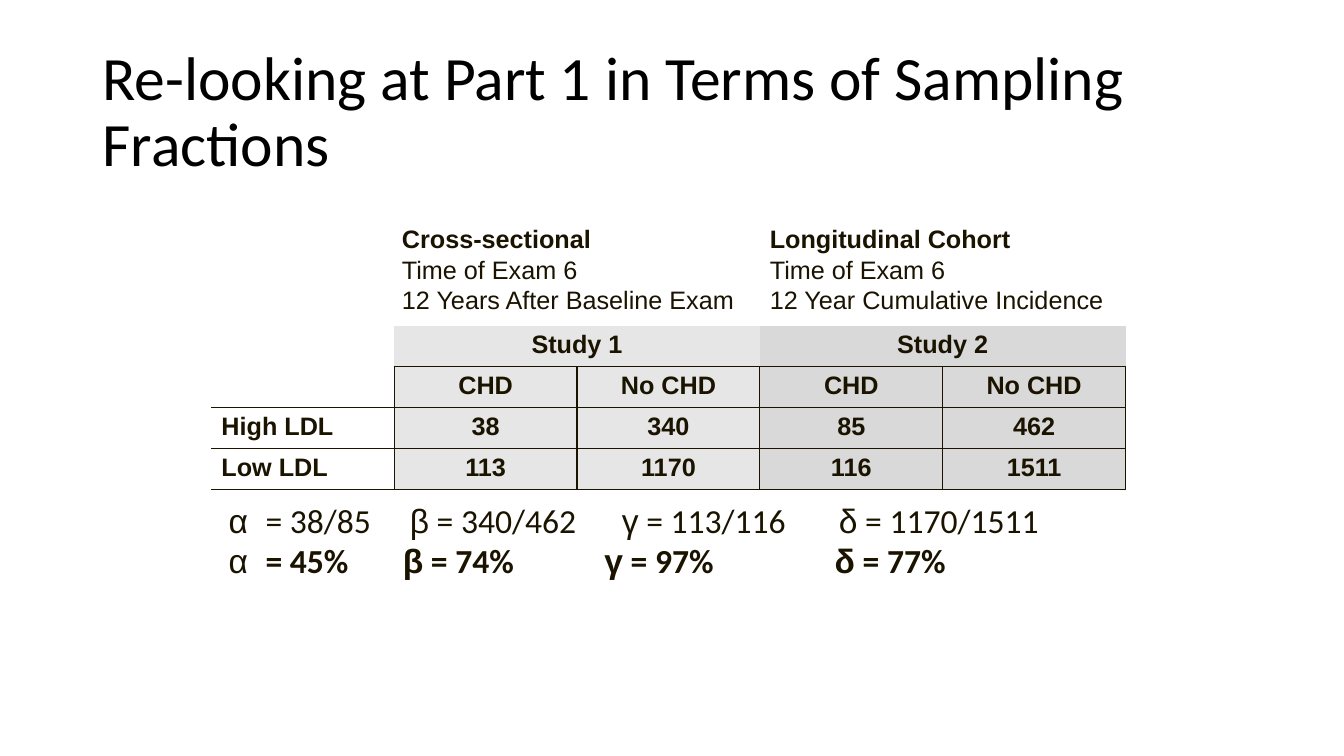
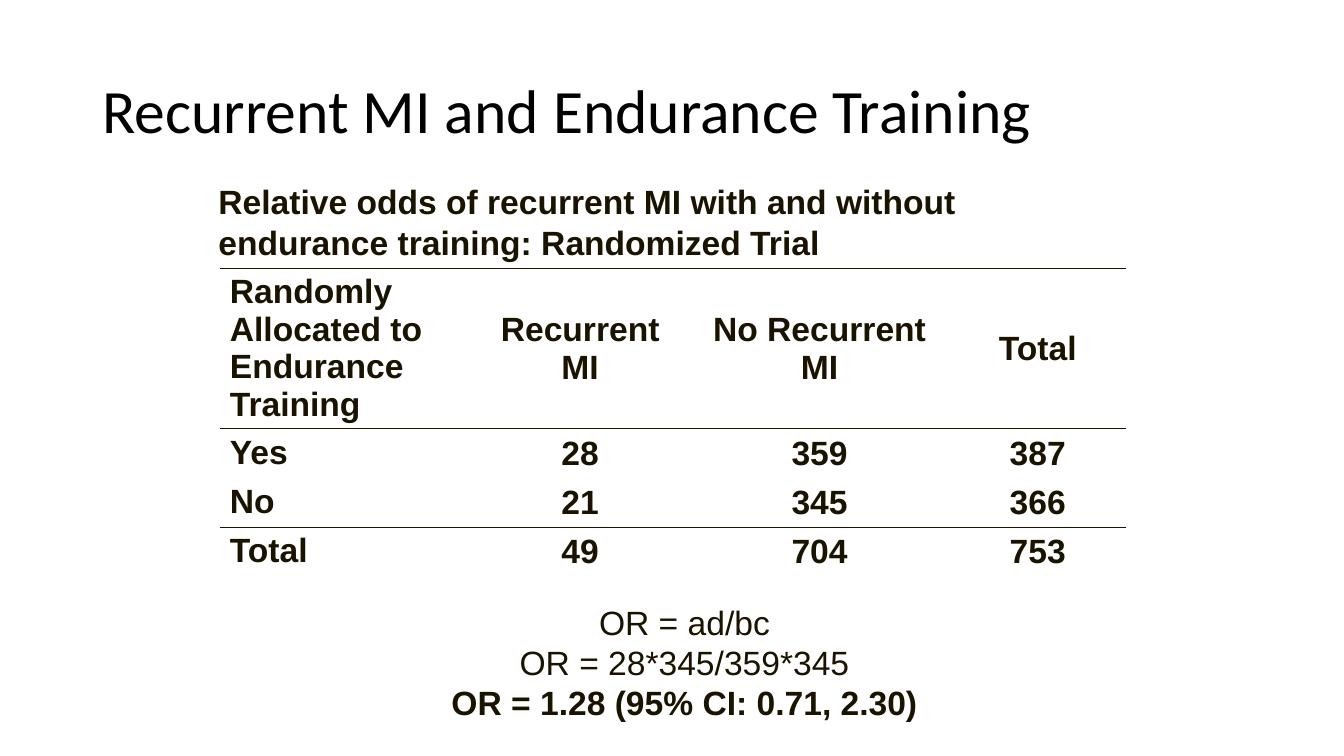
import lxml.etree
import pptx
import pptx.dml.color
import pptx.enum.text
import pptx.oxml.ns
import pptx.util

Pt = pptx.util.Pt
ALIGN = pptx.enum.text.PP_ALIGN
ANCHOR = pptx.enum.text.MSO_ANCHOR

INK = "1A1300"
TITLE_INK = "000000"
STUDY_1_FILL = "E7E6E6"
STUDY_2_FILL = "D9D9D9"


def color(hex_string):
    return pptx.dml.color.RGBColor.from_string(hex_string)


def add_element(parent, tag, **attributes):
    element = lxml.etree.SubElement(parent, pptx.oxml.ns.qn(tag))
    for name, value in attributes.items():
        element.set(name, str(value))
    return element


def write(frame, paragraphs, font="Arial", size=18, bold=False, ink=INK,
          align=ALIGN.LEFT, spacing=None, tabs=()):
    """Fill a text frame; a paragraph is a string or a list of (text, format) runs."""
    for index, runs in enumerate(paragraphs):
        paragraph = frame.paragraphs[0] if index == 0 else frame.add_paragraph()
        if tabs:
            tab_list = add_element(paragraph._p.get_or_add_pPr(), "a:tabLst")
            for position in tabs[index]:
                add_element(tab_list, "a:tab", pos=int(Pt(position)), algn="l")
        paragraph.alignment = align
        if spacing:
            paragraph.line_spacing = spacing
        for text, changes in [(runs, {})] if isinstance(runs, str) else runs:
            run = paragraph.add_run()
            run.text = text
            run.font.name = changes.get("font", font)
            run.font.size = Pt(size)
            run.font.bold = changes.get("bold", bold)
            run.font.color.rgb = color(ink)


class Deck:
    """Holds the shared style and the slide being built."""

    def __init__(self):
        self.presentation = pptx.Presentation()
        self.presentation.slide_width = Pt(960)
        self.presentation.slide_height = Pt(540)
        self.slide = None

    def add_slide(self, title):
        self.slide = self.presentation.slides.add_slide(self.presentation.slide_layouts[5])
        shape = self.slide.shapes.title
        shape.left, shape.top, shape.width, shape.height = Pt(66), Pt(28.75), Pt(828), Pt(104.4)
        frame = shape.text_frame
        frame.word_wrap = True
        frame.auto_size = pptx.enum.text.MSO_AUTO_SIZE.NONE
        frame.vertical_anchor = ANCHOR.MIDDLE
        write(frame, [title], font="Calibri", size=44, ink=TITLE_INK, spacing=0.9)

    def add_text(self, left, top, width, height, paragraphs, size=18, **text_format):
        shape = self.slide.shapes.add_textbox(Pt(left), Pt(top), Pt(width), Pt(height))
        shape.text_frame.word_wrap = True
        write(shape.text_frame, paragraphs, size=size, spacing=Pt(1.2 * size), **text_format)

    def add_table(self, left, top, widths, heights, rows, edges, fills=None, **text_format):
        """Add a table; edges(row, column) names the ruled sides out of "LRTB"."""
        table = self.slide.shapes.add_table(
            len(heights), len(widths), Pt(left), Pt(top),
            Pt(sum(widths)), Pt(sum(heights))).table
        table.first_row = table.horz_banding = False
        for column, width in zip(table.columns, widths):
            column.width = Pt(width)
        for row, height in zip(table.rows, heights):
            row.height = Pt(height)
        for row, texts in enumerate(rows):
            for column, text in enumerate(texts):
                cell = table.cell(row, column)
                self.rule_cell(cell, edges(row, column))
                fill = fills(row, column) if fills else None
                if fill:
                    cell.fill.solid()
                    cell.fill.fore_color.rgb = color(fill)
                else:
                    cell.fill.background()
                if text:
                    write(cell.text_frame, text.split("\n"), bold=True,
                          align=ALIGN.CENTER if column else ALIGN.LEFT, **text_format)
        return table

    def rule_cell(self, cell, sides):
        properties = cell._tc.get_or_add_tcPr()
        for side in "LRTB":
            line = add_element(properties, "a:ln" + side, w=int(Pt(1)))
            if side in sides:
                add_element(add_element(line, "a:solidFill"), "a:srgbClr", val=INK)
            else:
                add_element(line, "a:noFill")


def study_edges(row, column):
    if row == 0:
        return "B" if column else ""
    if column:
        return "LRTB"
    return "RB" if row == 1 else "TRB"


def study_fill(row, column):
    if column == 0:
        return None
    return STUDY_1_FILL if column < 3 else STUDY_2_FILL


def fraction_line(values, bold):
    """Runs of 'letter = value' with tabs between; the first letter is never bold."""
    runs = [("α", {"bold": False}), ("\t= " + values[0], {"font": "Calibri", "bold": bold})]
    for letter, value in zip("βγδ", values[1:]):
        runs.append(("\t" + letter, {"bold": bold}))
        runs.append((" = " + value, {"font": "Calibri", "bold": bold}))
    return runs


def build_sampling_fractions(deck):
    deck.add_slide("Re-looking at Part 1 in Terms of Sampling Fractions")
    rows = [
        ["", "Study 1", "", "Study 2", ""],
        ["", "CHD", "No CHD", "CHD", "No CHD"],
        ["High LDL", "38", "340", "85", "462"],
        ["Low LDL", "113", "1170", "116", "1511"],
    ]
    table = deck.add_table(151, 232.7, [130.6] * 5, [29.2] * 4, rows, study_edges, study_fill)
    for column in (1, 3):
        table.cell(0, column).merge(table.cell(0, column + 1))
    headings = [
        (280, "Cross-sectional", "12 Years After Baseline Exam"),
        (542.8, "Longitudinal Cohort", "12 Year Cumulative Incidence"),
    ]
    for left, design, period in headings:
        deck.add_text(left, 156.2, 264, 72.7,
                      [[(design, {"bold": True})], "Time of Exam 6", period])
    deck.add_text(
        156.2, 353.5, 642, 65.4,
        [fraction_line(["38/85", "340/462", "113/116", "1170/1511"], False),
         fraction_line(["45%", "74%", "97%", "77%"], True)],
        size=24, tabs=[(26.5, 129.5, 281, 436), (26.5, 124.5, 268.5, 433)])


def build_endurance_training(deck):
    deck.add_slide("Recurrent MI and Endurance Training")
    rows = [
        ["Randomly Allocated to\nEndurance\nTraining", "Recurrent\nMI",
         "No Recurrent\nMI", "Total"],
        ["Yes", "28", "359", "387"],
        ["No", "21", "345", "366"],
        ["Total", "49", "704", "753"],
    ]
    row_edges = ["TB", "T", "B", "T"]
    table = deck.add_table(157, 191.8, [179.3, 156.2, 185.8, 126], [114.3] + [35.3] * 3, rows,
                           lambda row, column: row_edges[row], size=24, spacing=Pt(26.8))
    for row in range(len(rows)):
        for column in range(1, len(rows[row])):
            table.cell(row, column).vertical_anchor = ANCHOR.MIDDLE
    deck.add_text(270, 426.2, 437.8, 94.3,
                  ["OR = ad/bc", "OR = 28*345/359*345",
                   [("OR = 1.28 (95% CI: 0.71, 2.30)", {"bold": True})]],
                  size=24, align=ALIGN.CENTER)
    deck.add_text(149, 126, 642, 65.4,
                  ["Relative odds of recurrent MI with and without "
                   "endurance training: Randomized Trial"], size=24, bold=True)


def main():
    deck = Deck()
    build_sampling_fractions(deck)
    build_endurance_training(deck)
    deck.presentation.save("out.pptx")


if __name__ == "__main__":
    main()
